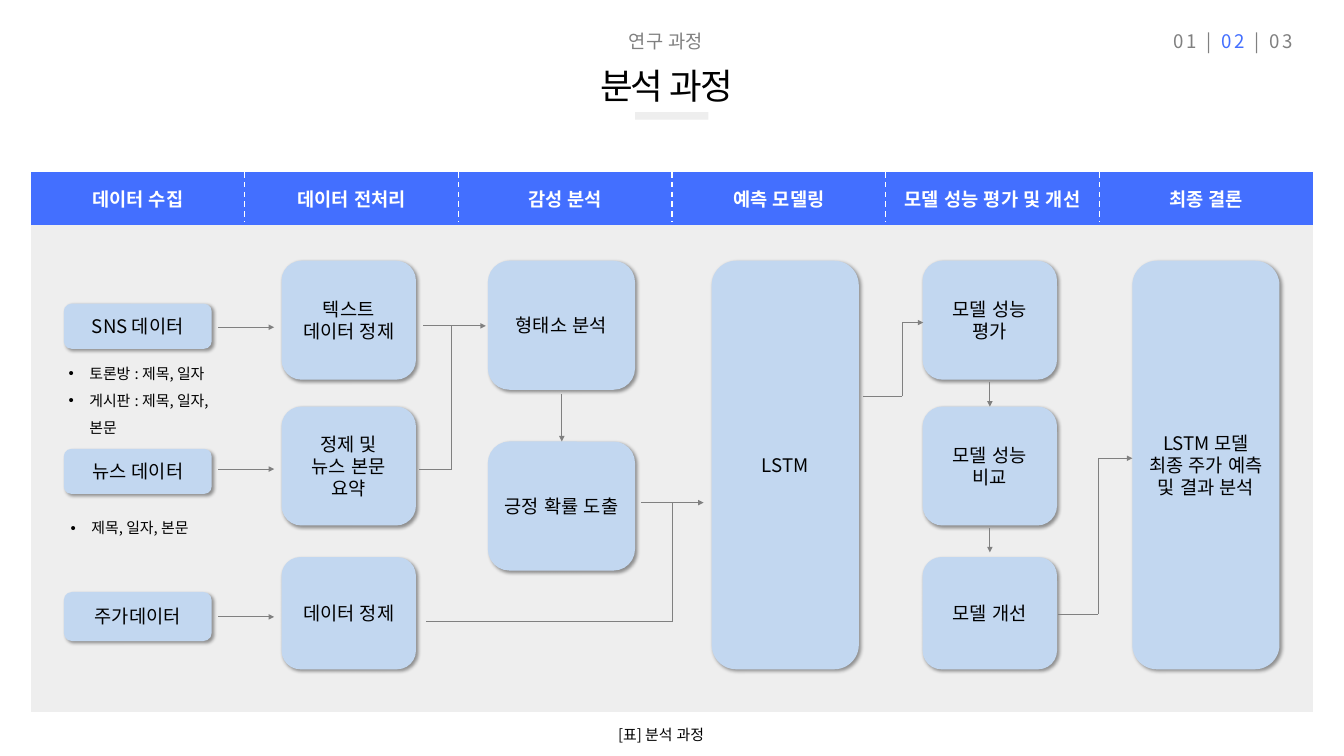
from dataclasses import dataclass
from itertools import pairwise

from lxml.etree import SubElement
from pptx import Presentation
from pptx.dml.color import RGBColor
from pptx.enum.dml import MSO_LINE
from pptx.enum.lang import MSO_LANGUAGE_ID
from pptx.enum.shapes import MSO_CONNECTOR, MSO_SHAPE
from pptx.enum.text import MSO_ANCHOR, MSO_AUTO_SIZE, PP_ALIGN
from pptx.oxml.ns import qn
from pptx.util import Inches, Pt


@dataclass(frozen=True)
class Theme:
    font: str = "Noto Sans CJK KR"
    blue: str = "436FFF"
    pale_blue: str = "C2D7F0"
    panel: str = "EEEEEE"
    gray: str = "808080"
    white: str = "FFFFFF"
    black: str = "000000"
    title: int = 38
    label: int = 20
    note: int = 16


THEME = Theme()
SLIDE_WIDTH, SLIDE_HEIGHT = 20, 11.25

STAGES = ["데이터 수집", "데이터 전처리", "감성 분석", "예측 모델링",
          "모델 성능 평가 및 개선", "최종 결론"]
TABLE_LEFT, TABLE_TOP, STAGE_WIDTH = 0.46, 2.56, 3.18
HEADER_HEIGHT, BODY_HEIGHT = 0.79, 7.25

# Box columns as (left, width), box rows as (top, height)
COLUMNS = {"source": (0.95, 2.2), "clean": (4.19, 2), "sentiment": (7.26, 2.19),
           "model": (10.59, 2.19), "evaluate": (13.73, 2), "result": (16.85, 2.19)}
ROWS = {"sns": (4.52, 0.67), "news": (6.68, 0.67), "price": (8.81, 0.73),
        "first": (3.88, 1.77), "second": (6.05, 1.77), "third": (8.29, 1.67),
        "upper": (3.88, 1.92), "lower": (6.57, 1.92), "full": (3.88, 6.08)}
BOXES = [
    ("source", "sns", ["SNS 데이터"]),
    ("source", "news", ["뉴스 데이터"]),
    ("source", "price", ["주가데이터"]),
    ("clean", "first", ["텍스트", "데이터 정제"]),
    ("clean", "second", ["정제 및", "뉴스 본문 요약"]),
    ("clean", "third", ["데이터 정제"]),
    ("sentiment", "upper", ["형태소 분석"]),
    ("sentiment", "lower", ["긍정 확률 도출"]),
    ("model", "full", ["LSTM"]),
    ("evaluate", "first", ["모델 성능 평가"]),
    ("evaluate", "second", ["모델 성능 비교"]),
    ("evaluate", "third", ["모델 개선"]),
    ("result", "full", ["LSTM 모델", "최종 주가 예측", "및 결과 분석"]),
]

# Routes as (corner points, ends in an arrowhead)
ROUTES = [
    *[([(3.25, y), (4.08, y)], True) for y in (4.87, 6.98, 9.18)],
    ([(6.3, 4.85), (7.23, 4.85)], True),
    ([(6.24, 6.98), (6.72, 6.98), (6.72, 4.85)], False),
    ([(8.36, 5.87), (8.36, 6.57)], True),
    ([(9.54, 7.48), (10.47, 7.48)], True),
    ([(6.34, 9.25), (10, 9.25), (10, 7.48)], False),
    ([(12.84, 5.9), (13.43, 5.9), (13.43, 4.8), (13.74, 4.8)], True),
    *[([(14.73, y), (14.73, y + 0.37)], True) for y in (5.68, 7.85)],
    ([(15.74, 9.14), (16.34, 9.14), (16.34, 6.82), (16.85, 6.82)], True),
]

BULLET_LISTS = [
    ((0.92, 5.24, 2.45, 1.27), ["토론방 : 제목, 일자", "게시판 : 제목, 일자, 본문"]),
    ((0.95, 7.54, 2.45, 0.46), ["제목, 일자, 본문"]),
]
PAGE_NUMBERS = [("01 | ", THEME.gray), ("02", THEME.blue), (" | 03", THEME.gray)]


def color(value):
    return RGBColor.from_string(value)


def write(frame, lines, size=THEME.label, ink=THEME.black, bold=False, align=PP_ALIGN.LEFT,
          anchor=MSO_ANCHOR.TOP, wrap=True, spacing=0, line_spacing=None, indent=0):
    """Fill a text frame; a line is a string or a list of (text, colour) spans."""
    frame.word_wrap = wrap
    frame.vertical_anchor = anchor
    for index, line in enumerate(lines):
        para = frame.paragraphs[0] if index == 0 else frame.add_paragraph()
        para.alignment = align
        para.space_before = Pt(0)
        if line_spacing:
            para.line_spacing = line_spacing
        if indent:
            properties = para._p.get_or_add_pPr()
            properties.set("marL", str(Inches(indent)))
            properties.set("indent", str(-Inches(indent)))
        for text, span_ink in ([(line, ink)] if isinstance(line, str) else line):
            span = para.add_run()
            span.text = text
            font = span.font
            font.size, font.bold, font.name = Pt(size), bold, THEME.font
            font.language_id = MSO_LANGUAGE_ID.KOREAN
            font.color.rgb = color(span_ink)
            character = span._r.get_or_add_rPr()
            SubElement(character, qn("a:ea"), typeface=THEME.font)
            if spacing:
                character.set("spc", str(spacing * 100))


def add_text(page, place, lines, **style):
    write(page.shapes.add_textbox(*map(Inches, place)).text_frame, lines, **style)


def fill_placeholder(holder, place, lines, **style):
    holder.left, holder.top, holder.width, holder.height = map(Inches, place)
    holder.text_frame.auto_size = MSO_AUTO_SIZE.NONE
    write(holder.text_frame, lines, **style)


def add_block(page, kind, place, fill):
    block = page.shapes.add_shape(kind, *map(Inches, place))
    block.shadow.inherit = False
    block.fill.solid()
    block.fill.fore_color.rgb = color(fill)
    block.line.fill.background()
    return block


def add_box(page, column, row, lines):
    (left, width), (top, height) = COLUMNS[column], ROWS[row]
    box = add_block(page, MSO_SHAPE.ROUNDED_RECTANGLE, (left, top, width, height),
                    THEME.pale_blue)
    effects = box._element.spPr.find(qn("a:effectLst"))
    shadow = SubElement(effects, qn("a:outerShdw"), blurRad=str(Pt(4)), dist=str(Pt(3)),
                        dir=str(45 * 60000), algn="tl", rotWithShape="0")
    shade = SubElement(shadow, qn("a:srgbClr"), val=THEME.black)
    SubElement(shade, qn("a:alpha"), val="40000")
    write(box.text_frame, lines, align=PP_ALIGN.CENTER, anchor=MSO_ANCHOR.MIDDLE)


def add_line(page, start, end, ink=THEME.gray, width=1, dash=None, arrow=False):
    line = page.shapes.add_connector(MSO_CONNECTOR.STRAIGHT, *map(Inches, (*start, *end)))
    line.line.color.rgb = color(ink)
    line.line.width = Pt(width)
    if dash:
        line.line.dash_style = dash
    if arrow:
        SubElement(line.line._get_or_add_ln(), qn("a:tailEnd"), type="triangle")
    SubElement(line._element.spPr, qn("a:effectLst"))


def add_stage_table(page):
    place = (TABLE_LEFT, TABLE_TOP, STAGE_WIDTH * len(STAGES), HEADER_HEIGHT + BODY_HEIGHT)
    table = page.shapes.add_table(2, len(STAGES), *map(Inches, place)).table
    table.first_row = table.horz_banding = False
    no_grid_style = "{2D5ABB26-0587-4C30-8999-92F81FD0307C}"
    table._tbl.tblPr.find(qn("a:tableStyleId")).text = no_grid_style
    for row, height in zip(table.rows, (HEADER_HEIGHT, BODY_HEIGHT)):
        row.height = Inches(height)
    for index, stage in enumerate(STAGES):
        for row, fill in enumerate((THEME.blue, THEME.panel)):
            cell = table.cell(row, index)
            cell.fill.solid()
            cell.fill.fore_color.rgb = color(fill)
        header = table.cell(0, index)
        write(header.text_frame, [stage], ink=THEME.white, bold=True, align=PP_ALIGN.CENTER)
        header.vertical_anchor = MSO_ANCHOR.MIDDLE
    for index in range(1, len(STAGES)):
        x = TABLE_LEFT + index * STAGE_WIDTH
        add_line(page, (x, TABLE_TOP), (x, TABLE_TOP + 0.75), ink=THEME.white, width=1.5,
                 dash=MSO_LINE.DASH)


def main():
    deck = Presentation()
    deck.slide_width, deck.slide_height = Inches(SLIDE_WIDTH), Inches(SLIDE_HEIGHT)
    two_content = deck.slide_layouts[3]
    page = deck.slides.add_slide(two_content)
    title, *bodies = page.placeholders

    add_stage_table(page)
    fill_placeholder(title, (8.83, 0.9, 2.34, 0.76), ["분석 과정"], size=THEME.title,
                     spacing=-2, wrap=False)
    add_block(page, MSO_SHAPE.RECTANGLE, (9.45, 1.67, 1.09, 0.11), THEME.panel)
    add_text(page, (9.26, 0.39, 4.98, 0.44), ["연구 과정"], ink=THEME.gray)
    add_text(page, (17.36, 0.39, 2.33, 0.44), [PAGE_NUMBERS], spacing=3, wrap=False)
    for column, row, lines in BOXES:
        add_box(page, column, row, lines)
    for points, arrow in ROUTES:
        for start, end in pairwise(points):
            add_line(page, start, end, arrow=arrow and end == points[-1])
    for body, (place, items) in zip(bodies, BULLET_LISTS):
        fill_placeholder(body, place, items, size=THEME.note, line_spacing=1.5, indent=0.31)
        page.shapes._spTree.append(body._element)
    add_text(page, (9.1, 10.75, 1.66, 0.37), ["[표] 분석 과정"], size=THEME.note, wrap=False)
    deck.save("out.pptx")


if __name__ == "__main__":
    main()
